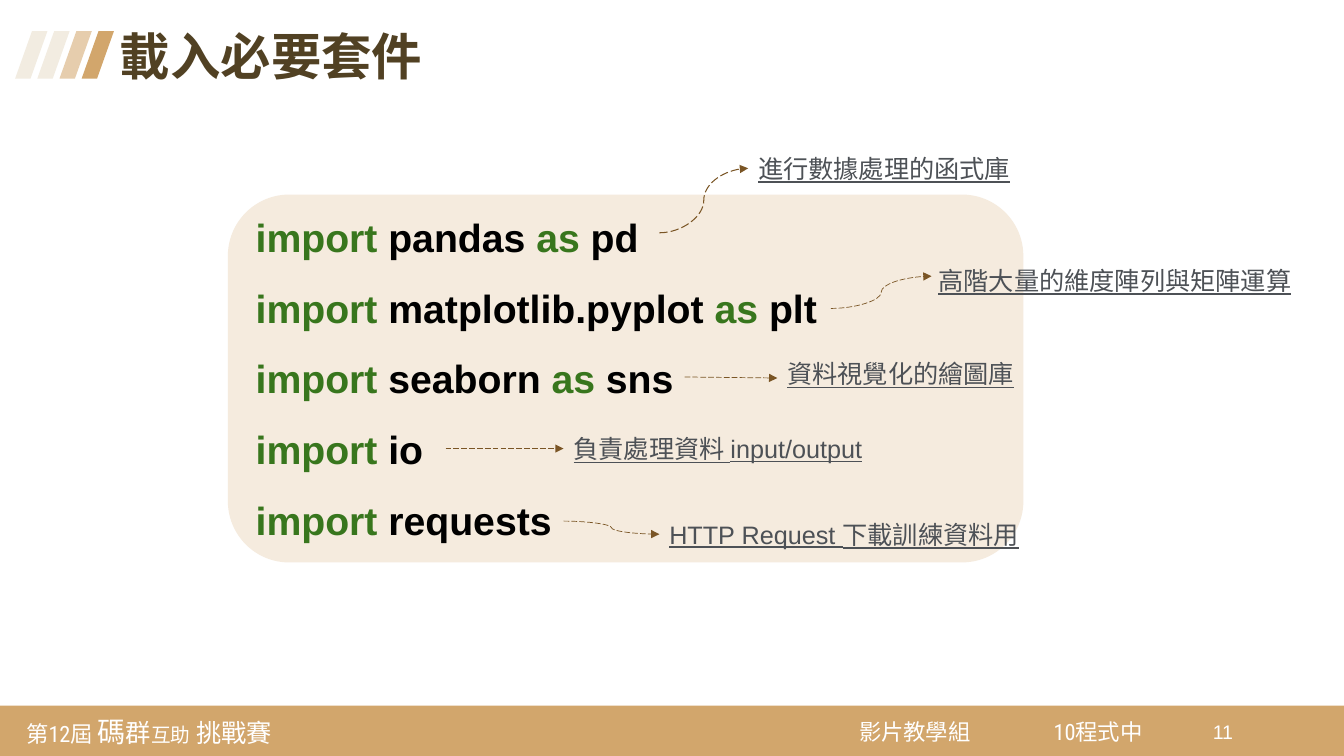
from dataclasses import dataclass

from lxml import etree
from pptx import Presentation
from pptx.dml.color import RGBColor
from pptx.enum import dml, shapes, text
from pptx.oxml.ns import qn
from pptx.util import Inches, Pt


@dataclass(frozen=True)
class Theme:
    gold: str = "D2A66C"
    sand: str = "E6CDAD"
    cream: str = "F2ECE1"
    panel: str = "F5EBDE"
    title: str = "514123"
    keyword: str = "38761D"
    code: str = "000000"
    note: str = "4D5156"
    arrow: str = "7A5525"
    light: str = "FFFFFF"
    body_font: str = "Arial"
    footer_font: str = "Roboto Condensed"
    title_size: int = 36
    code_size: int = 28
    note_size: int = 18
    footer_size: int = 16
    page_size: int = 14


THEME = Theme()
KEYWORDS = {"import", "as"}


def style(font, size, color, name=THEME.body_font):
    font.name = name
    font.size = Pt(size)
    font.color.rgb = RGBColor.from_string(color)


def add_block(slide, kind, box, color):
    block = slide.shapes.add_shape(kind, *map(Inches, box))
    block.shadow.inherit = False
    block.fill.solid()
    block.fill.fore_color.rgb = RGBColor.from_string(color)
    block.line.fill.background()
    return block


def add_label(slide, box, words, size, color, font=THEME.body_font):
    label = slide.shapes.add_textbox(*map(Inches, box))
    label.text_frame.word_wrap = True
    paragraph = label.text_frame.paragraphs[0]
    paragraph.text = words
    style(paragraph.font, size, color, font)
    return label


def add_footer(slide, left, top, width, height):
    add_block(slide, shapes.MSO_SHAPE.RECTANGLE, (left, top, width, height), THEME.gold)

    # Contest name, then the team and the project
    entries = [(0.18, 2.83, ""), (8.44, 1.33, "影片教學組"), (10.37, 1.33, "10程式中")]
    labels = []
    for offset, entry_width, words in entries:
        entry = add_label(slide, (left + offset, top + 0.04, entry_width, 0.43), words,
                          THEME.footer_size, THEME.light, THEME.footer_font)
        frame = entry.text_frame
        frame.vertical_anchor = text.MSO_ANCHOR.MIDDLE
        frame.margin_left = frame.margin_right = Inches(0.08)
        frame.margin_top = frame.margin_bottom = Inches(0.08)
        labels.append(entry)
    contest = labels[0].text_frame.paragraphs[0]
    for words, size in [("第12屆 ", 16), ("碼", 20), ("群", 18), ("互助", 14), (" 挑戰賽", 18)]:
        run = contest.add_run()
        run.text = words
        run.font.size = Pt(size)

    # Page number
    add_label(slide, (left + 11.93, top + 0.09, 0.42, 0.41), "11",
              THEME.page_size, THEME.light)


def add_heading(slide, left, top, width, height):
    # Slanted stripes, fading to the left
    for i, color in enumerate([THEME.cream, THEME.cream, THEME.sand, THEME.gold]):
        stripe = add_block(slide, shapes.MSO_SHAPE.PARALLELOGRAM,
                           (left + 0.22 * i, top + 0.04, 0.32, 0.47), color)
        stripe.adjustments[0] = 0.522

    title = add_label(slide, (left + 0.94, top, width - 0.94, height), "載入必要套件",
                      THEME.title_size, THEME.title).text_frame.paragraphs[0]
    title.font.bold = True
    title.line_spacing = 0.9


def add_code_panel(slide, left, top, width, height):
    panel = add_block(slide, shapes.MSO_SHAPE.ROUNDED_RECTANGLE,
                      (left, top, width, height), THEME.panel)
    frame = panel.text_frame
    frame.word_wrap = True
    frame.vertical_anchor = text.MSO_ANCHOR.MIDDLE
    frame.margin_top, frame.margin_bottom = 0, Inches(0.24)
    statements = ["import pandas as pd", "import matplotlib.pyplot as plt",
                  "import seaborn as sns", "import io", "import requests"]
    for i, statement in enumerate(statements):
        line = frame.add_paragraph() if i else frame.paragraphs[0]
        line.alignment = text.PP_ALIGN.LEFT
        line.line_spacing = 1.5
        style(line.font, THEME.code_size, THEME.code)
        line.font.bold = True
        for j, word in enumerate(statement.split()):
            run = line.add_run()
            run.text = f" {word}" if j else word
            color = THEME.keyword if word in KEYWORDS else THEME.code
            run.font.color.rgb = RGBColor.from_string(color)


def add_arrow(slide, start, end, weight):
    # Nearly level arrows are straight, the others curve
    level = abs(start[1] - end[1]) < 0.05
    kind = shapes.MSO_CONNECTOR.STRAIGHT if level else shapes.MSO_CONNECTOR.CURVE
    arrow = slide.shapes.add_connector(kind, *map(Inches, (*start, *end)))
    arrow.line.color.rgb = RGBColor.from_string(THEME.arrow)
    arrow.line.width = Pt(weight)
    arrow.line.dash_style = dml.MSO_LINE.LONG_DASH
    etree.SubElement(arrow.line._get_or_add_ln(), qn("a:tailEnd"), type="triangle")
    etree.SubElement(arrow._element.spPr, qn("a:effectLst"))
    return arrow


def add_notes_on_code(slide, left, top):
    # Note, its offset and width, arrow start and end offsets, arrow weight
    notes = [
        ("進行數據處理的函式庫", (5.16, -0.46, 2.73), (4.28, 0.38), (5.16, -0.25), 0.75),
        ("高階大量的維度陣列與矩陣運算", (6.95, 0.65, 3.74), (5.98, 1.13), (6.98, 0.81), 0.5),
        ("資料視覺化的繪圖庫", (5.45, 1.58, 2.47), (4.53, 1.81), (5.45, 1.82), 0.5),
        ("負責處理資料 input/output", (3.33, 2.32, 3.11), (2.16, 2.52), (3.33, 2.53), 0.5),
        ("HTTP Request 下載訓練資料用", (4.28, 3.17, 3.7), (3.33, 3.24), (4.28, 3.37), 0.5),
    ]
    note_height = 0.4
    for words, (x, y, width), start, end, weight in notes:
        note = add_label(slide, (left + x, top + y, width, note_height), words,
                         THEME.note_size, THEME.note)
        note.text_frame.paragraphs[0].font.underline = True
        arrow = add_arrow(slide, (left + start[0], top + start[1]),
                          (left + end[0], top + end[1]), weight)
        if end[0] == x and abs(end[1] - y - note_height / 2) < 0.02:
            arrow.end_connect(note, 1)


def main():
    deck = Presentation()
    deck.slide_width, deck.slide_height = Inches(13.33), Inches(7.5)
    slide = deck.slides.add_slide(deck.slide_layouts[6])
    add_footer(slide, 0, 7, 13.33, 0.5)
    add_heading(slide, 0.15, 0.27, 11.13, 0.65)
    add_code_panel(slide, 2.26, 1.93, 7.89, 3.65)
    add_notes_on_code(slide, 2.26, 1.93)
    deck.save("out.pptx")


if __name__ == "__main__":
    main()
